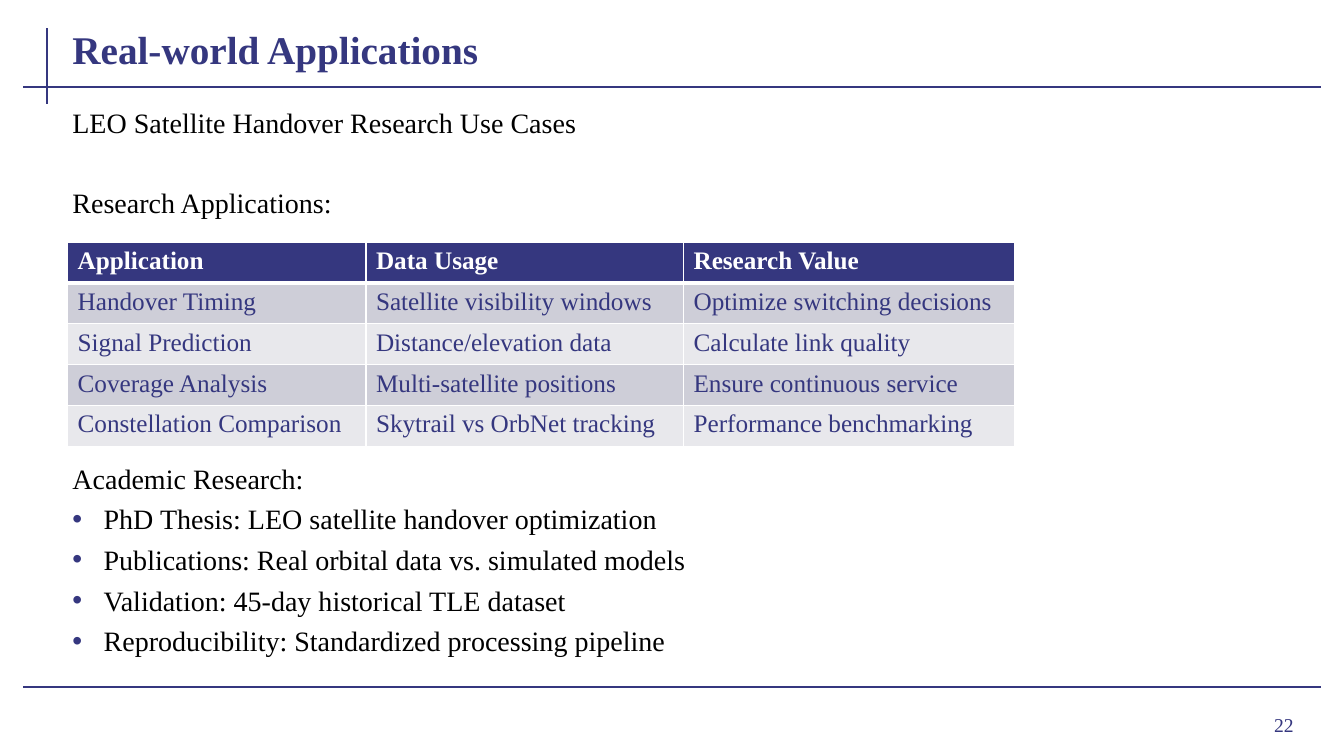
from dataclasses import dataclass

from lxml.etree import SubElement
from pptx import Presentation
from pptx.dml.color import RGBColor as Rgb
from pptx.enum.shapes import MSO_CONNECTOR as Connector
from pptx.enum.text import MSO_ANCHOR as Anchor, PP_ALIGN as Align
from pptx.oxml.ns import qn
from pptx.util import Inches, Pt


@dataclass(frozen=True)
class Theme:
    font: str = "Times New Roman"
    navy: str = "35377F"
    ink: str = "000000"
    white: str = "FFFFFF"
    bands: tuple = ("CECED8", "E8E8EC")
    title_size: int = 28
    body_size: int = 20
    table_size: int = 18
    number_size: int = 14
    rule_width: float = 1.5
    border_width: int = 1
    header_border: int = 3


THEME = Theme()
SLIDE_WIDTH, SLIDE_HEIGHT = Inches(13.33), Inches(7.5)
LINE_GAP = 5
BLANK_LINE = 28
BULLET_INDENT = Inches(0.31)

# Left, top, right, bottom as percentages of the slide
RULES = [
    (3.52, 3.73, 3.52, 13.73),
    (1.73, 11.47, 98.27, 11.47),
    (1.73, 90.93, 98.27, 90.93),
]
# Left, top, width, height as percentages of the slide
TITLE_AREA = (4.65, 2, 93.7, 8.27)
BODY_AREA = (4.65, 13.33, 93.7, 75.73)
NUMBER_AREA = (89.72, 92.4, 7.28, 6.93)
TABLE_LEFT, TABLE_TOP = 5.03, 32
COLUMN_SHARES = (22.2, 23.63, 24.6)
ROW_SHARE = 5.41

# Text and the number of line slots left free above it
HEADINGS = [
    ("LEO Satellite Handover Research Use Cases", 0),
    ("Research Applications:", 1),
    ("Academic Research:", 6),
]
ACADEMIC_POINTS = [
    "PhD Thesis: LEO satellite handover optimization",
    "Publications: Real orbital data vs. simulated models",
    "Validation: 45-day historical TLE dataset",
    "Reproducibility: Standardized processing pipeline",
]
APPLICATIONS = [
    ("Application", "Data Usage", "Research Value"),
    ("Handover Timing", "Satellite visibility windows", "Optimize switching decisions"),
    ("Signal Prediction", "Distance/elevation data", "Calculate link quality"),
    ("Coverage Analysis", "Multi-satellite positions", "Ensure continuous service"),
    ("Constellation Comparison", "Skytrail vs OrbNet tracking", "Performance benchmarking"),
]


def across(percent):
    return round(SLIDE_WIDTH * percent / 100)


def down(percent):
    return round(SLIDE_HEIGHT * percent / 100)


def place(area):
    """Turn four percentages into horizontal, vertical, horizontal, vertical lengths."""
    x1, y1, x2, y2 = area
    return across(x1), down(y1), across(x2), down(y2)


def add_rule(slide, ends):
    rule = slide.shapes.add_connector(Connector.STRAIGHT, *place(ends))
    rule.line.color.rgb = Rgb.from_string(THEME.navy)
    rule.line.width = Pt(THEME.rule_width)
    SubElement(rule.element.spPr, qn("a:effectLst"))


def add_text_area(slide, area, anchor=Anchor.TOP):
    frame = slide.shapes.add_textbox(*place(area)).text_frame
    frame.word_wrap = True
    frame.vertical_anchor = anchor
    return frame


def write(paragraph, wording, size, color, bold=False):
    run = paragraph.add_run()
    run.text = wording
    run.font.name = THEME.font
    run.font.size = Pt(size)
    run.font.bold = bold
    run.font.color.rgb = Rgb.from_string(color)


def add_bullet(paragraph):
    properties = paragraph._p.get_or_add_pPr()
    properties.set("marL", str(BULLET_INDENT))
    properties.set("indent", str(-BULLET_INDENT))
    bullet_color = SubElement(properties, qn("a:buClr"))
    SubElement(bullet_color, qn("a:srgbClr"), val=THEME.navy)
    SubElement(properties, qn("a:buFont"), typeface="Arial")
    SubElement(properties, qn("a:buChar"), char="•")


def add_body(slide):
    frame = add_text_area(slide, BODY_AREA)
    lines = [(wording, free, False) for wording, free in HEADINGS]
    lines += [(point, 0, True) for point in ACADEMIC_POINTS]
    for index, (wording, free_lines, bulleted) in enumerate(lines):
        paragraph = frame.add_paragraph() if index else frame.paragraphs[0]
        paragraph.space_before = Pt(LINE_GAP + free_lines * BLANK_LINE)
        if bulleted:
            add_bullet(paragraph)
        write(paragraph, wording, THEME.body_size, THEME.ink)


def set_borders(cell, row_index):
    widths = dict.fromkeys(("a:lnL", "a:lnR", "a:lnT", "a:lnB"), THEME.border_width)
    if row_index == 0:
        widths["a:lnB"] = THEME.header_border
    elif row_index == 1:
        widths["a:lnT"] = THEME.header_border
    properties = cell._tc.get_or_add_tcPr()
    for side, width in widths.items():
        border = SubElement(properties, qn(side), w=str(Pt(width)))
        fill = SubElement(border, qn("a:solidFill"))
        SubElement(fill, qn("a:srgbClr"), val=THEME.white)


def add_applications_table(slide):
    area = (TABLE_LEFT, TABLE_TOP, sum(COLUMN_SHARES), ROW_SHARE * len(APPLICATIONS))
    table = slide.shapes.add_table(
        len(APPLICATIONS), len(COLUMN_SHARES), *place(area)
    ).table
    for column, share in zip(table.columns, COLUMN_SHARES):
        column.width = across(share)
    for row_index, entries in enumerate(APPLICATIONS):
        table.rows[row_index].height = down(ROW_SHARE)
        header = row_index == 0
        background = THEME.navy if header else THEME.bands[(row_index - 1) % 2]
        color = THEME.white if header else THEME.navy
        for column_index, entry in enumerate(entries):
            cell = table.cell(row_index, column_index)
            set_borders(cell, row_index)
            cell.fill.solid()
            cell.fill.fore_color.rgb = Rgb.from_string(background)
            write(cell.text_frame.paragraphs[0], entry, THEME.table_size, color, header)


def main():
    deck = Presentation()
    deck.slide_width, deck.slide_height = SLIDE_WIDTH, SLIDE_HEIGHT
    slide = deck.slides.add_slide(deck.slide_layouts[6])

    for ends in RULES:
        add_rule(slide, ends)

    page_number = add_text_area(slide, NUMBER_AREA, Anchor.MIDDLE).paragraphs[0]
    page_number.alignment = Align.RIGHT
    write(page_number, "22", THEME.number_size, THEME.navy)

    title = add_text_area(slide, TITLE_AREA, Anchor.BOTTOM).paragraphs[0]
    write(title, "Real-world Applications", THEME.title_size, THEME.navy, bold=True)

    add_body(slide)
    add_applications_table(slide)
    deck.save("out.pptx")


if __name__ == "__main__":
    main()
